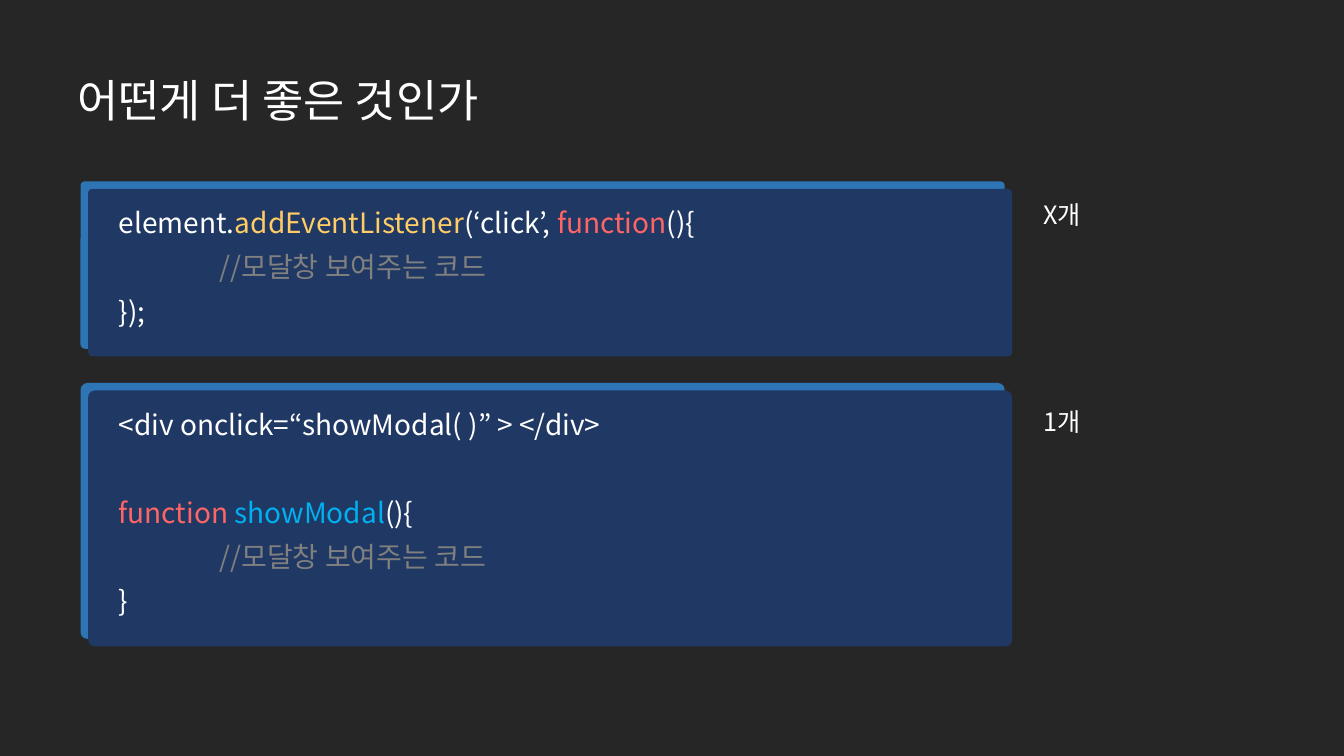
import pptx
import pptx.dml.color
import pptx.enum.shapes
import pptx.enum.text
import pptx.oxml.ns
import pptx.util
from pptx.util import Cm

RGBColor = pptx.dml.color.RGBColor
BACKGROUND = RGBColor(0x26, 0x26, 0x26)
WHITE = RGBColor(0xFF, 0xFF, 0xFF)
PANEL_BACK = RGBColor(0x2E, 0x75, 0xB6)
PANEL_FRONT = RGBColor(0x20, 0x38, 0x64)
METHOD = RGBColor(0xFF, 0xCC, 0x66)
KEYWORD = RGBColor(0xFF, 0x65, 0x65)
NAME = RGBColor(0x00, 0xB0, 0xF0)
COMMENT = RGBColor(0x80, 0x80, 0x80)
FONT = "Noto Sans CJK KR"


def write(para, text, size=20, color=WHITE):
    span = para.add_run()
    span.text = text
    span.font.size = pptx.util.Pt(size)
    span.font.name = FONT
    span.font.color.rgb = color
    east_asian = span.font._element.makeelement(
        pptx.oxml.ns.qn("a:ea"), {"typeface": FONT})
    span.font._element.append(east_asian)


deck = pptx.Presentation()
deck.slide_width = Cm(33.87)
deck.slide_height = Cm(19.05)
page = deck.slides.add_slide(deck.slide_layouts[5])
page.background.fill.solid()
page.background.fill.fore_color.rgb = BACKGROUND

title = page.shapes.title
title.left, title.top, title.width, title.height = Cm(1.7), Cm(0.76), Cm(29.21), Cm(3.68)
title.text_frame.auto_size = pptx.enum.text.MSO_AUTO_SIZE.NONE
title.text_frame.vertical_anchor = pptx.enum.text.MSO_ANCHOR.MIDDLE
heading = title.text_frame.paragraphs[0]
heading.alignment = pptx.enum.text.PP_ALIGN.LEFT
heading.line_spacing = 0.9
write(heading, "어떤게 더 좋은 것인가", size=32)

# Each code line: space before in points, indent, coloured pieces
comment_line = (10, Cm(2.54), [("//모달창 보여주는 코드", COMMENT)])
listener_code = [
    (10, 0, [("element.", WHITE), ("addEventListener", METHOD), ("(‘click’, ", WHITE),
             ("function", KEYWORD), ("(){", WHITE)]),
    comment_line,
    (10, 0, [("});", WHITE)]),
]
inline_code = [
    (10, 0, [("<div onclick=“showModal( )” > </div>", WHITE)]),
    (41.5, 0, [("function ", KEYWORD), ("showModal", NAME), ("(){", WHITE)]),
    comment_line,
    (10, 0, [("}", WHITE)]),
]

# Panel top and height, code, label and label top, in centimetres
panels = [
    (4.57, 4.22, listener_code, "X개", 4.9),
    (9.65, 6.45, inline_code, "1개", 10.11),
]
for top, height, code, label, label_top in panels:
    for offset, color in ((0, PANEL_BACK), (0.19, PANEL_FRONT)):
        panel = page.shapes.add_shape(
            pptx.enum.shapes.MSO_SHAPE.ROUNDED_RECTANGLE,
            Cm(2.03 + offset), Cm(top + offset), Cm(23.29), Cm(height))
        panel.adjustments[0] = 0.027
        panel.shadow.inherit = False
        panel.fill.solid()
        panel.fill.fore_color.rgb = color
        panel.line.fill.background()

    code_box = page.shapes.add_textbox(Cm(2.74), Cm(top + 0.58), Cm(22.6), Cm(height - 0.93))
    frame = code_box.text_frame
    frame.word_wrap = True
    for number, (space, indent, pieces) in enumerate(code):
        para = frame.add_paragraph() if number else frame.paragraphs[0]
        para.line_spacing = 0.9
        para.space_before = pptx.util.Pt(space)
        if indent:
            para._p.get_or_add_pPr().set("marL", str(int(indent)))
        for text, color in pieces:
            write(para, text, color=color)

    label_box = page.shapes.add_textbox(Cm(26.04), Cm(label_top), Cm(1.5), Cm(1.02))
    label_box.text_frame.word_wrap = True
    write(label_box.text_frame.paragraphs[0], label, size=18)

deck.save("out.pptx")
